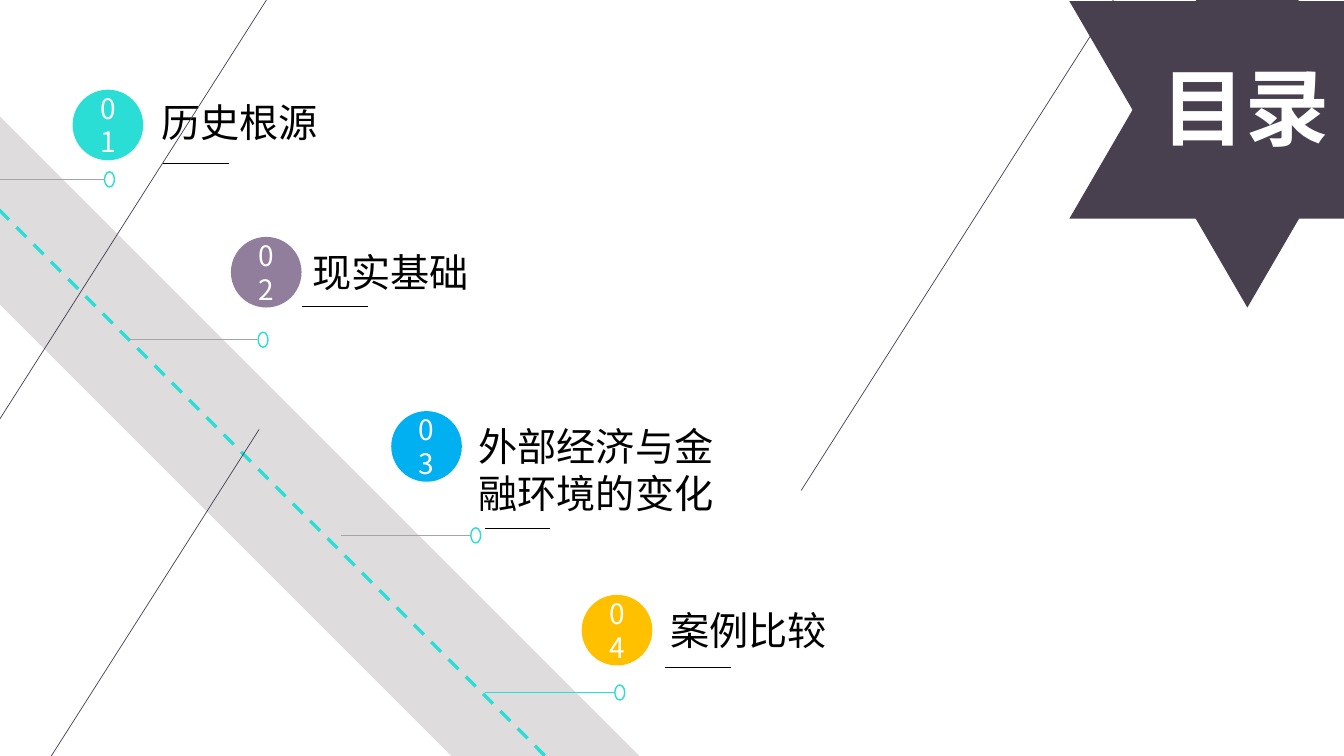
import pptx
import pptx.util
import pptx.dml.color
import pptx.enum.dml
import pptx.enum.shapes
import pptx.enum.text
import pptx.oxml.ns
from lxml import etree
from dataclasses import dataclass

Cm, Pt = pptx.util.Cm, pptx.util.Pt
SHAPE = pptx.enum.shapes.MSO_SHAPE
ALIGN = pptx.enum.text.PP_ALIGN


@dataclass(frozen=True)
class Theme:
    font: str = "Noto Sans CJK SC"
    teal: str = "2ADED5"
    purple: str = "907E9C"
    blue: str = "00B0F0"
    amber: str = "FFC000"
    dark: str = "49404F"
    band: str = "D0CECE"
    grey: str = "A5A5A5"
    black: str = "000000"
    white: str = "FFFFFF"
    title_size: int = 60
    label_size: int = 28
    number_size: int = 20


theme = Theme()

# Content; all lengths are centimetres
TITLE = "目录"
# label, label width, disc colour, pointer colour,
# then left and top of disc, label, underline and pointer
CHAPTERS = [
    ("历史根源", 7.09, theme.teal, theme.grey,
     (1.83, 2.26), (3.81, 2.36), (4.11, 4.11), (-0.64, 4.52)),
    ("现实基础", 7.09, theme.purple, theme.grey,
     (5.82, 5.97), (7.62, 6.12), (7.62, 7.72), (3.23, 8.56)),
    ("外部经济与金融环境的变化", 7.09, theme.blue, theme.grey,
     (9.86, 10.36), (11.81, 10.52), (12.22, 13.31), (8.59, 13.49)),
    ("案例比较", 4.9, theme.amber, theme.teal,
     (14.66, 14.99), (16.64, 15.16), (16.76, 16.81), (12.22, 17.45)),
]
SLANT_STARTS = [(8.28, -2.46), (6.53, 10.82), (33.02, -7.8)]
SLANT_RUN, SLANT_DROP = -12.83, 20.16
DISC, UNDERLINE, POINTER = 1.78, 1.65, 3.25
RING_WIDTH, RING_HEIGHT, RING_GAP = 0.38, 0.25, 0.15

deck = pptx.Presentation()
deck.slide_width, deck.slide_height = Cm(33.87), Cm(19.05)
page = deck.slides.add_slide(deck.slide_layouts[6])


def rgb(colour):
    return pptx.dml.color.RGBColor.from_string(colour)


def add_line(start, run, drop, colour, weight):
    left, top = start
    line = page.shapes.add_connector(
        pptx.enum.shapes.MSO_CONNECTOR.STRAIGHT,
        Cm(left), Cm(top), Cm(left + run), Cm(top + drop))
    line.line.color.rgb = rgb(colour)
    line.line.width = Pt(weight)
    etree.SubElement(line._element.spPr, pptx.oxml.ns.qn("a:effectLst"))
    return line


def add_shape(kind, left, top, width, height, fill=None, outline=None):
    shape = page.shapes.add_shape(kind, Cm(left), Cm(top), Cm(width), Cm(height))
    shape.shadow.inherit = False
    if fill:
        shape.fill.solid()
        shape.fill.fore_color.rgb = rgb(fill)
    else:
        shape.fill.background()
    if outline:
        shape.line.color.rgb = rgb(outline)
        shape.line.width = Pt(1)
    else:
        shape.line.fill.background()
    return shape


def write(box, text, size, colour, align=ALIGN.LEFT, bold=False):
    box.text_frame.word_wrap = True
    para = box.text_frame.paragraphs[0]
    para.text = text
    para.alignment = align
    font = para.font
    font.name, font.size, font.bold = theme.font, Pt(size), bold
    font.color.rgb = rgb(colour)
    # East Asian glyphs take their own typeface entry
    east_asian = etree.SubElement(font._element, pptx.oxml.ns.qn("a:ea"))
    east_asian.set("typeface", theme.font)


def add_text(left, top, width, height, *style, **options):
    box = page.shapes.add_textbox(Cm(left), Cm(top), Cm(width), Cm(height))
    write(box, *style, **options)
    box.text_frame.auto_size = pptx.enum.text.MSO_AUTO_SIZE.SHAPE_TO_FIT_TEXT


# Diagonal road with its dashed centre line
road = add_shape(SHAPE.RECTANGLE, -11.1, 9.47, 33.87, 3.35, theme.band)
road.rotation = 45
road_colour = road.fill._xPr.find(".//" + pptx.oxml.ns.qn("a:srgbClr"))
etree.SubElement(road_colour, pptx.oxml.ns.qn("a:alpha")).set("val", "70000")
centre_line = add_line((-6.12, -0.81), 23.93, 23.93, theme.teal, 2.5)
centre_line.line.dash_style = pptx.enum.dml.MSO_LINE.DASH

# Chapters along the road
for number, chapter in enumerate(CHAPTERS, 1):
    label, label_width, colour, pointer_colour, disc_at, label_at, rule_at, pointer_at = chapter
    add_line(pointer_at, POINTER, 0, pointer_colour, 1)
    ring = add_shape(SHAPE.OVAL,
                     pointer_at[0] + POINTER + RING_GAP - RING_WIDTH / 2,
                     pointer_at[1] - RING_HEIGHT / 2,
                     RING_WIDTH, RING_HEIGHT, outline=theme.teal)
    ring.rotation = 270
    disc = add_shape(SHAPE.OVAL, *disc_at, DISC, DISC, colour)
    write(disc, f"{number:02d}", theme.number_size, theme.white, ALIGN.CENTER)
    disc.text_frame.vertical_anchor = pptx.enum.text.MSO_ANCHOR.MIDDLE
    add_text(*label_at, label_width, 1.45, label, theme.label_size, theme.black)
    add_line(rule_at, UNDERLINE, 0, theme.black, 0.5)

# Thin slanted lines
for start in SLANT_STARTS:
    add_line(start, SLANT_RUN, SLANT_DROP, theme.dark, 0.5)

# Title on a star of two triangles
for top, turn in [(-2.21, 0), (0.03, 180)]:
    triangle = add_shape(SHAPE.ISOSCELES_TRIANGLE, 26.95, top, 8.97, 7.72, theme.dark)
    triangle.rotation = turn
add_text(29.01, 1.27, 4.75, 2.82, TITLE, theme.title_size, theme.white, bold=True)

deck.save("out.pptx")
